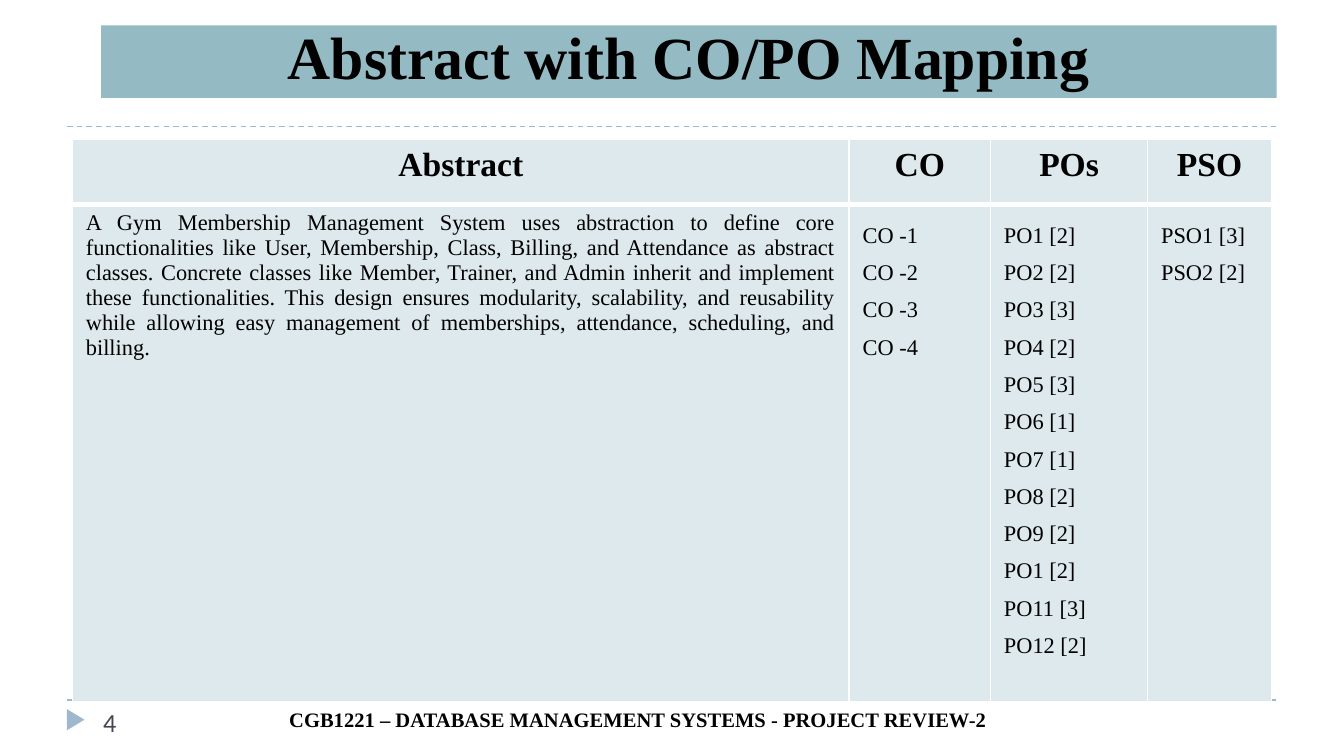
import pptx
import pptx.util
import pptx.dml.color
import pptx.enum.dml
import pptx.enum.shapes
import pptx.enum.text
from lxml import etree
from pptx.oxml.ns import qn

Cm = pptx.util.Cm
Pt = pptx.util.Pt
RGBColor = pptx.dml.color.RGBColor
ALIGN = pptx.enum.text.PP_ALIGN

BLACK = RGBColor(0x00, 0x00, 0x00)
WHITE = RGBColor(0xFF, 0xFF, 0xFF)
BANNER = RGBColor(0x94, 0xBA, 0xC3)
CELL = RGBColor(0xDD, 0xE9, 0xEC)
ACCENT = RGBColor(0x9F, 0xB8, 0xCD)
SLATE = RGBColor(0x46, 0x46, 0x53)
SERIF = "Times New Roman"

ABSTRACT = (
    "A Gym Membership Management System uses abstraction to define core "
    "functionalities like User, Membership, Class, Billing, and Attendance as "
    "abstract classes. Concrete classes like Member, Trainer, and Admin inherit "
    "and implement these functionalities. This design ensures modularity, "
    "scalability, and reusability while allowing easy management of "
    "memberships, attendance, scheduling, and billing."
)
COURSE_OUTCOMES = "\n".join(f"CO -{number}" for number in range(1, 5))
PROGRAM_OUTCOMES = "\n".join([
    "PO1 [2]", "PO2 [2]", "PO3 [3]", "PO4 [2]", "PO5 [3]", "PO6 [1]",
    "PO7 [1]", "PO8 [2]", "PO9 [2]", "PO1 [2]", "PO11 [3]", "PO12 [2]",
])
SPECIFIC_OUTCOMES = "PSO1 [3]\nPSO2 [2]"


class SlideBuilder:
    def __init__(self, slide):
        self.slide = slide
        self.shapes = slide.shapes

    def fill_text(self, frame, text, size, bold=False, align=ALIGN.LEFT,
                  font=SERIF, color=BLACK, spacing=None):
        frame.text = text
        frame.word_wrap = True
        for paragraph in frame.paragraphs:
            paragraph.alignment = align
            paragraph.line_spacing = spacing
            for run in paragraph.runs:
                run.font.name = font
                run.font.size = Pt(size)
                run.font.bold = bold
                run.font.color.rgb = color

    def title(self, text, left, top, width, height):
        banner = self.shapes.title
        banner.left, banner.top = Cm(left), Cm(top)
        banner.width, banner.height = Cm(width), Cm(height)
        banner.fill.solid()
        banner.fill.fore_color.rgb = BANNER
        frame = banner.text_frame
        frame.auto_size = pptx.enum.text.MSO_AUTO_SIZE.NONE
        frame.vertical_anchor = pptx.enum.text.MSO_ANCHOR.BOTTOM
        self.fill_text(frame, text, 32, True, ALIGN.CENTER)

    def rule(self, left, right, y):
        rule = self.shapes.add_connector(
            pptx.enum.shapes.MSO_CONNECTOR.STRAIGHT,
            Cm(left), Cm(y), Cm(right), Cm(y))
        rule.line.color.rgb = ACCENT
        rule.line.width = Pt(0.75)
        rule.line.dash_style = pptx.enum.dml.MSO_LINE.DASH
        etree.SubElement(rule._element.spPr, qn("a:effectLst"))

    def marker(self, left, top, width, height):
        marker = self.shapes.add_shape(
            pptx.enum.shapes.MSO_SHAPE.ISOSCELES_TRIANGLE,
            Cm(left), Cm(top), Cm(width), Cm(height))
        marker.rotation = 90
        marker.shadow.inherit = False
        marker.fill.solid()
        marker.fill.fore_color.rgb = ACCENT
        marker.line.fill.background()

    def label(self, text, left, top, width, height, size, **style):
        label = self.shapes.add_textbox(Cm(left), Cm(top), Cm(width), Cm(height))
        self.fill_text(label.text_frame, text, size, **style)

    def borders(self, cell, **widths):
        properties = cell._tc.get_or_add_tcPr()
        for side in "LRTB":
            line = etree.SubElement(properties, qn(f"a:ln{side}"),
                                    w=str(Pt(widths.get(side, 1))))
            fill = etree.SubElement(line, qn("a:solidFill"))
            etree.SubElement(fill, qn("a:srgbClr"), val=str(WHITE))

    def table(self, columns, left, top, header_height, body_height):
        total_width = sum(column[0] for column in columns)
        table = self.shapes.add_table(
            2, len(columns), Cm(left), Cm(top), Cm(total_width),
            Cm(header_height + body_height)).table
        table.horz_banding = False
        table.rows[0].height = Cm(header_height)
        table.rows[1].height = Cm(body_height)
        for index, (width, heading, body, align, spacing) in enumerate(columns):
            table.columns[index].width = Cm(width)
            header, content = table.cell(0, index), table.cell(1, index)
            self.borders(header, B=3)
            self.borders(content, T=3)
            for cell in (header, content):
                cell.fill.solid()
                cell.fill.fore_color.rgb = CELL
            self.fill_text(header.text_frame, heading, 18, True, ALIGN.CENTER)
            self.fill_text(content.text_frame, body, 12, align=align, spacing=spacing)


def main():
    deck = pptx.Presentation()
    deck.slide_width, deck.slide_height = Cm(25.4), Cm(14.29)
    page = SlideBuilder(deck.slides.add_slide(deck.slide_layouts[5]))

    for y in (13.23, 2.39):
        page.rule(1.27, 24.13, y)
    page.marker(1.23, 13.44, 0.4, 0.33)
    page.title("Abstract with CO/PO Mapping", 1.91, 0.48, 22.22, 1.37)
    page.label("CGB1221 – DATABASE MANAGEMENT SYSTEMS - PROJECT REVIEW-2",
               4.02, 13.23, 16.08, 1.04, 11, bold=True, align=ALIGN.CENTER)
    page.label("4", 1.7, 13.23, 5.5, 0.76, 14, font="Calibri", color=SLATE)
    page.table([
        (14.68, "Abstract", ABSTRACT, ALIGN.JUSTIFY, None),
        (2.67, "CO", COURSE_OUTCOMES, ALIGN.LEFT, 1.5),
        (2.97, "POs", PROGRAM_OUTCOMES, ALIGN.LEFT, 1.5),
        (2.34, "PSO", SPECIFIC_OUTCOMES, ALIGN.LEFT, 1.5),
    ], 1.37, 2.64, 1.22, 7.77)

    deck.save("out.pptx")


if __name__ == "__main__":
    main()
